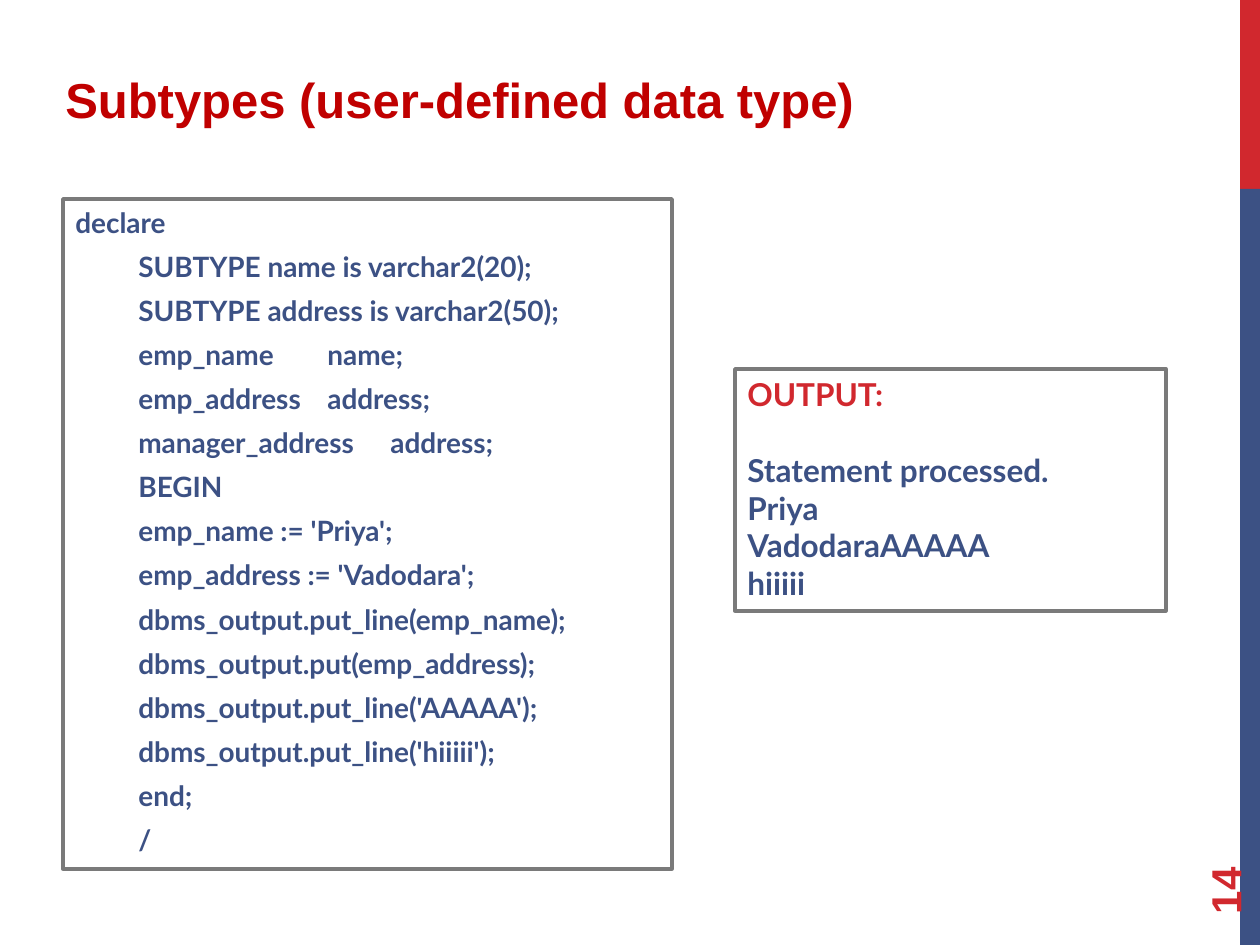
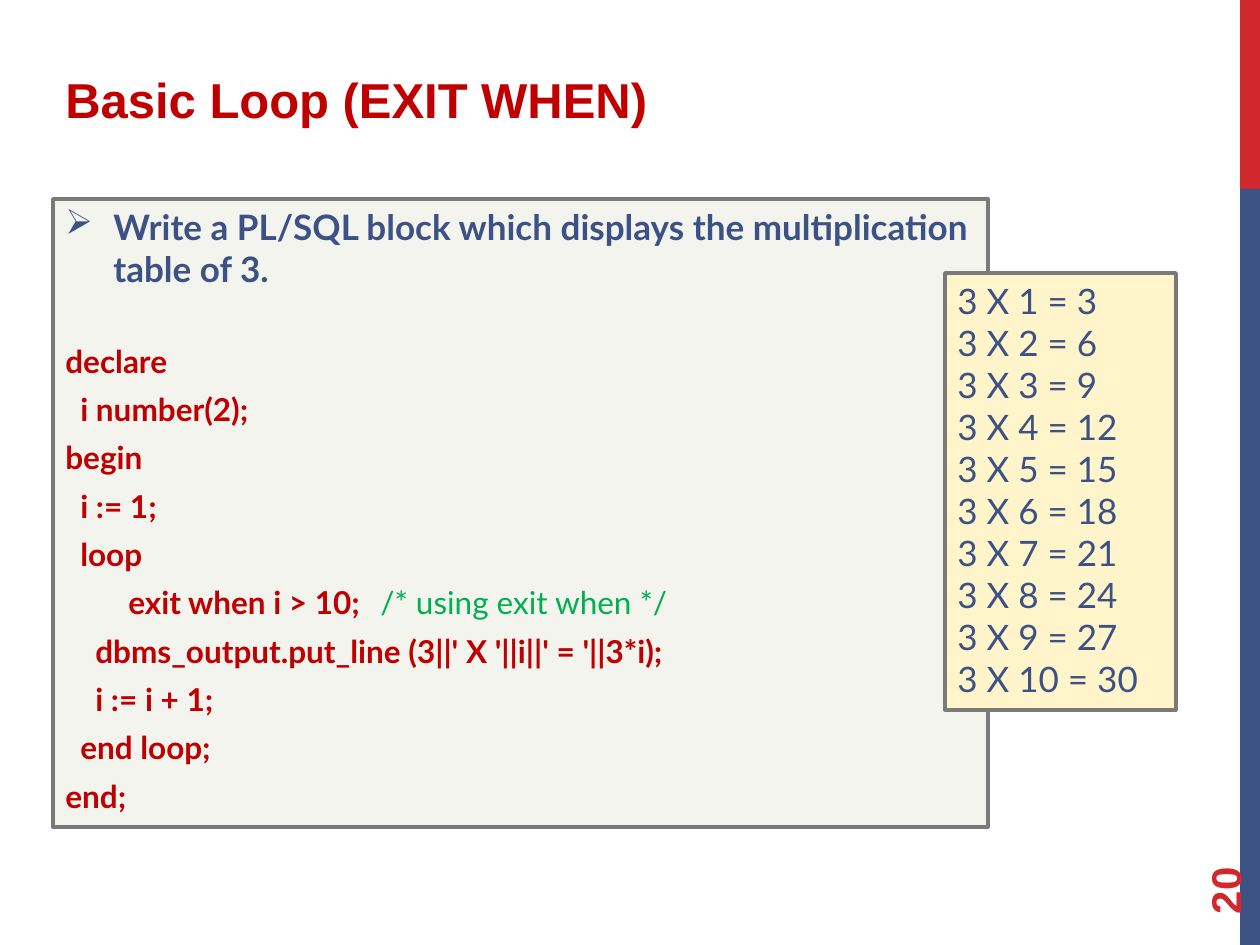
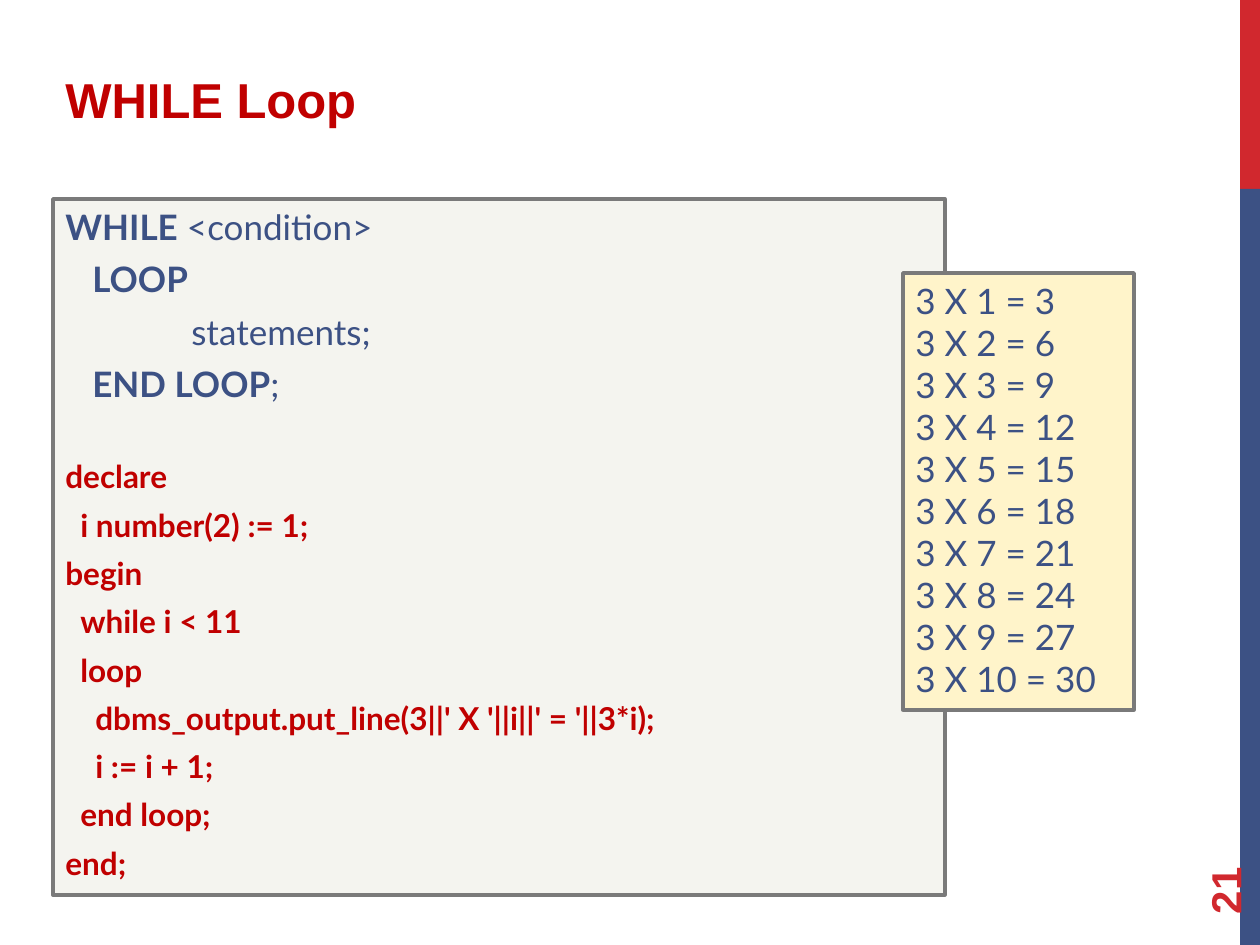
from lxml.etree import SubElement
from pptx import Presentation
from pptx.dml.color import RGBColor
from pptx.enum.shapes import MSO_SHAPE
from pptx.enum.text import MSO_ANCHOR, MSO_AUTO_SIZE, PP_ALIGN
from pptx.oxml.ns import qn
from pptx.util import Emu, Pt

SCALE = 914400 / 126
COLORS = {
    "red": "D1282E",
    "blue": "3C5184",
    "title": "C00000",
    "comment": "00B050",
    "border": "7A7A7A",
    "code_fill": "F4F4EF",
    "result_fill": "FFF4CA",
}
STEP = 15


def px(n):
    return Emu(round(n * SCALE))


def rgb(name):
    return RGBColor.from_string(COLORS[name])


def add_text(tf, text, size=18, color="blue", bold=True, font="Lato",
             before=0, after=0, indent=0, bullet=None, tabs=()):
    p = tf.paragraphs[0]
    if p.runs:
        p = tf.add_paragraph()
    p.alignment = PP_ALIGN.LEFT
    p.space_before, p.space_after = Pt(before), Pt(after)
    pPr = p._p.get_or_add_pPr()
    pPr.set("marL", str(px(indent)))
    pPr.set("indent", str(px(-indent if bullet else 0)))
    if bullet:
        SubElement(pPr, qn("a:buChar"), char=bullet)
    else:
        SubElement(pPr, qn("a:buNone"))
    if tabs:
        tab_list = SubElement(pPr, qn("a:tabLst"))
        for tab in tabs:
            SubElement(tab_list, qn("a:tab"), pos=str(px(tab)), algn="l")
    parts = [(text, {})] if isinstance(text, str) else text
    for part, own in parts:
        for i, line in enumerate(part.split("\n")):
            if i:
                p.add_line_break()
            r = p.add_run()
            r.text = line
            r.font.name = font
            r.font.size = Pt(size)
            r.font.bold = own.get("bold", bold)
            r.font.color.rgb = rgb(own.get("color", color))


class Deck:
    def __init__(self):
        self.prs = Presentation()
        self.prs.slide_width, self.prs.slide_height = px(1260), px(945)
        self.s = None

    def slide(self, title, number):
        self.s = self.prs.slides.add_slide(self.prs.slide_layouts[6])
        self.rect(1240, 0, 20, 189, fill="red")
        self.rect(1240, 189, 20, 756, fill="blue")
        sp, tf = self.label(1134, 811, 181, 50)
        sp.rotation = 270
        tf.vertical_anchor = MSO_ANCHOR.MIDDLE
        add_text(tf, str(number), size=24, color="red", font="Arial")
        sp, tf = self.label(53, 63, 1166, 84)
        add_text(tf, title, size=28, color="title", font="Arial",
                 before=5.6, after=6)

    def label(self, x, y, w, h):
        sp = self.s.shapes.add_textbox(px(x), px(y), px(w), px(h))
        sp.text_frame.word_wrap = True
        return sp, sp.text_frame

    def rect(self, x, y, w, h, fill=None, line=None):
        sp = self.s.shapes.add_shape(MSO_SHAPE.RECTANGLE,
                                     px(x), px(y), px(w), px(h))
        sp.shadow.inherit = False
        if fill:
            sp.fill.solid()
            sp.fill.fore_color.rgb = rgb(fill)
        else:
            sp.fill.background()
        if line:
            sp.line.color.rgb = rgb(line)
            sp.line.width = Pt(2)
        else:
            sp.line.fill.background()
        return sp

    def panel(self, x, y, w, h, fill=None):
        tf = self.rect(x, y, w, h, fill, "border").text_frame
        tf.word_wrap = True
        tf.auto_size = MSO_AUTO_SIZE.SHAPE_TO_FIT_TEXT
        tf.vertical_anchor = MSO_ANCHOR.TOP
        return tf

    def code(self, tf, lines):
        for i, (level, text) in enumerate(lines):
            fmt = {"color": "title", "before": 6 if i else 30}
            if isinstance(text, str):
                add_text(tf, text, indent=level * STEP, **fmt)
            else:
                add_text(tf, text, tabs=(level * STEP, 301), **fmt)

    def results(self, x):
        tf = self.panel(x, 273, 231, 437, "result_fill")
        rows = [f"3 X {i} = {3 * i}" for i in range(1, 11)]
        add_text(tf, "\n".join(rows), size=20, bold=False)


deck = Deck()

deck.slide("Subtypes (user-defined data type)", 14)
tf = deck.panel(63, 199, 609, 670)
add_text(tf, "declare", size=16, before=6)
for text, tab in [
    ("SUBTYPE name is varchar2(20);", None),
    ("SUBTYPE address is varchar2(50);", None),
    ("\temp_name\tname;", 252),
    ("\temp_address\taddress;", 252),
    ("\tmanager_address\taddress;", 305),
    ("BEGIN", None),
    ("emp_name := 'Priya';", None),
    ("emp_address := 'Vadodara';", None),
    ("dbms_output.put_line(emp_name);", None),
    ("dbms_output.put(emp_address);", None),
    ("dbms_output.put_line('AAAAA');", None),
    ("dbms_output.put_line('hiiiii');", None),
    ("end;", None),
    ("/", None),
]:
    add_text(tf, text, size=16, before=6, indent=0 if tab else 63,
             tabs=(63, tab) if tab else ())
tf = deck.panel(735, 369, 431, 242)
add_text(tf, "OUTPUT:", color="red")
add_text(tf, "Statement processed.", before=21.6)
for text in ("Priya", "VadodaraAAAAA", "hiiiii"):
    add_text(tf, text)

deck.slide("Basic Loop (EXIT WHEN)", 20)
tf = deck.panel(53, 199, 935, 628, "code_fill")
add_text(tf, "Write a PL/SQL block which displays the multiplication table of 3.",
         size=20, indent=48, bullet="\u27a2")
deck.code(tf, [
    (0, "declare"),
    (1, "i number(2);"),
    (0, "begin"),
    (1, "i := 1;"),
    (1, "loop"),
    (2, [("\texit when i > 10;\t", {}),
         ("/* using exit when */", {"color": "comment", "bold": False})]),
    (2, "dbms_output.put_line (3||' X '||i||' = '||3*i);"),
    (2, "i := i + 1;"),
    (1, "end loop;"),
    (0, "end;"),
])
deck.results(945)

deck.slide("WHILE Loop", 21)
tf = deck.panel(53, 199, 892, 696, "code_fill")
plain = {"bold": False}
for indent, text in [
    (0, [("WHILE", {}), (" <condition>", plain)]),
    (27, "LOOP"),
    (126, [("statements;", plain)]),
    (27, [("END LOOP", {}), (";", plain)]),
]:
    add_text(tf, text, size=20, before=6, indent=indent)
deck.code(tf, [
    (0, "declare"),
    (1, "i number(2) := 1;"),
    (0, "begin"),
    (1, "while i < 11"),
    (1, "loop"),
    (2, "dbms_output.put_line(3||' X '||i||' = '||3*i);"),
    (2, "i := i + 1;"),
    (1, "end loop;"),
    (0, "end;"),
])
deck.results(903)

deck.prs.save("out.pptx")
